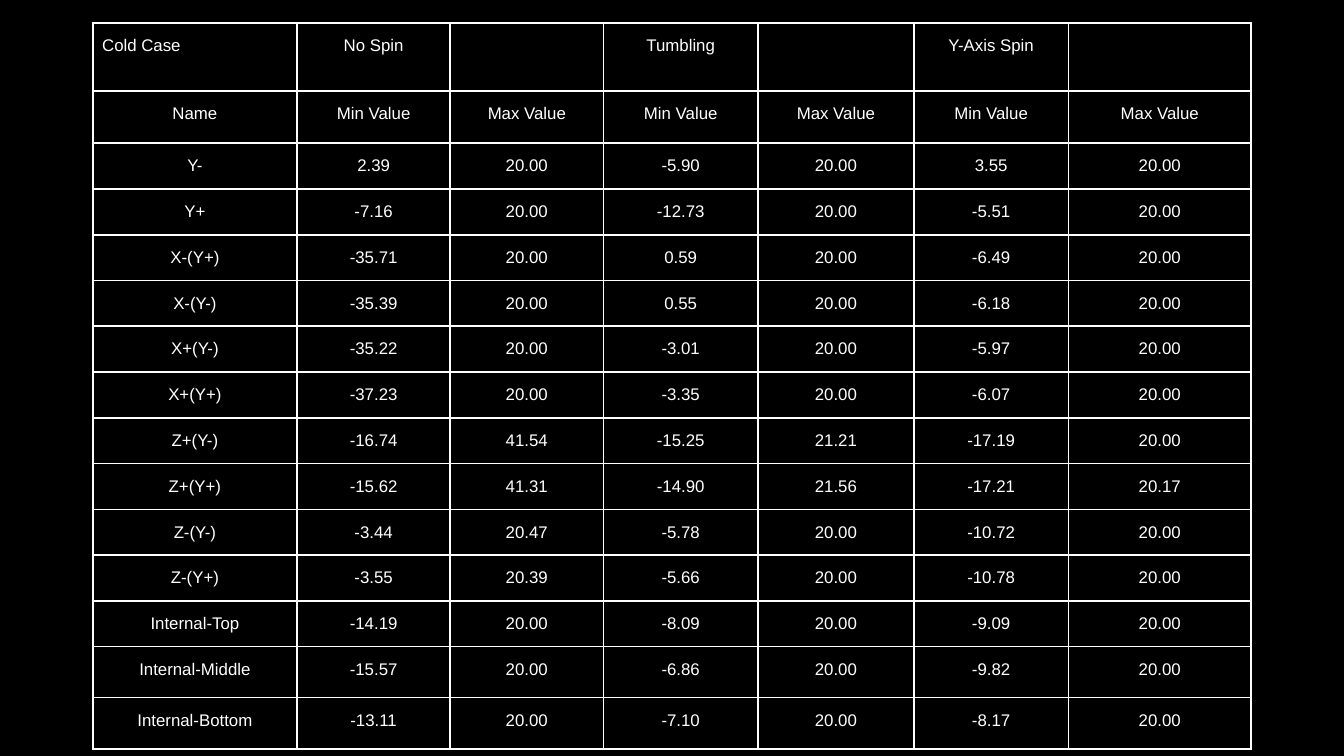
from dataclasses import dataclass

from lxml.etree import SubElement
from pptx import Presentation
from pptx.dml.color import RGBColor
from pptx.enum.text import PP_ALIGN
from pptx.oxml.ns import qn
from pptx.util import Inches, Pt


@dataclass(frozen=True)
class Theme:
    """Colours, font and type sizes of the slide."""
    background: str = "000000"
    ink: str = "FFFFFF"
    font: str = "Arial"
    size: float = 9
    border: float = 1


THEME = Theme()

COLUMN_WIDTHS = [1.52, 1.14, 1.14, 1.15, 1.16, 1.15, 1.36]
ROW_HEIGHTS = [0.48, 0.39] + [0.34] * 11 + [0.38] * 2
MARGIN_X, MARGIN_Y = 0.07, 0.1

TEMPERATURES = [
    ["Cold Case", "No Spin", "", "Tumbling", "", "Y-Axis Spin", ""],
    ["Name"] + ["Min Value", "Max Value"] * 3,
    ["Y-", "2.39", "20.00", "-5.90", "20.00", "3.55", "20.00"],
    ["Y+", "-7.16", "20.00", "-12.73", "20.00", "-5.51", "20.00"],
    ["X-(Y+)", "-35.71", "20.00", "0.59", "20.00", "-6.49", "20.00"],
    ["X-(Y-)", "-35.39", "20.00", "0.55", "20.00", "-6.18", "20.00"],
    ["X+(Y-)", "-35.22", "20.00", "-3.01", "20.00", "-5.97", "20.00"],
    ["X+(Y+)", "-37.23", "20.00", "-3.35", "20.00", "-6.07", "20.00"],
    ["Z+(Y-)", "-16.74", "41.54", "-15.25", "21.21", "-17.19", "20.00"],
    ["Z+(Y+)", "-15.62", "41.31", "-14.90", "21.56", "-17.21", "20.17"],
    ["Z-(Y-)", "-3.44", "20.47", "-5.78", "20.00", "-10.72", "20.00"],
    ["Z-(Y+)", "-3.55", "20.39", "-5.66", "20.00", "-10.78", "20.00"],
    ["Internal-Top", "-14.19", "20.00", "-8.09", "20.00", "-9.09", "20.00"],
    ["Internal-Middle", "-15.57", "20.00", "-6.86", "20.00", "-9.82", "20.00"],
    ["Internal-Bottom", "-13.11", "20.00", "-7.10", "20.00", "-8.17", "20.00"],
]


def paint_background(slide):
    """Fill the slide background with the theme colour."""
    fill = slide.background.fill
    fill.solid()
    fill.fore_color.rgb = RGBColor.from_string(THEME.background)


def outline_cell(cell):
    """Draw a solid line on all four sides of a cell."""
    properties = cell._tc.get_or_add_tcPr()
    for side in ("a:lnL", "a:lnR", "a:lnT", "a:lnB"):
        edge = SubElement(properties, qn(side), w=str(Pt(THEME.border)))
        solid = SubElement(edge, qn("a:solidFill"))
        SubElement(solid, qn("a:srgbClr"), val=THEME.ink)


def write_cell(cell, wording, alignment):
    """Set the wording of a cell and format it."""
    cell.margin_left = cell.margin_right = Inches(MARGIN_X)
    cell.margin_top = cell.margin_bottom = Inches(MARGIN_Y)
    paragraph = cell.text_frame.paragraphs[0]
    paragraph.text = wording
    paragraph.alignment = alignment
    for run in paragraph.runs:
        run.font.name = THEME.font
        run.font.size = Pt(THEME.size)
        run.font.color.rgb = RGBColor.from_string(THEME.ink)


def add_temperature_table(slide, left, top):
    """Add the table of minimum and maximum values per spin mode."""
    table = slide.shapes.add_table(
        len(ROW_HEIGHTS), len(COLUMN_WIDTHS), Inches(left), Inches(top),
        Inches(sum(COLUMN_WIDTHS)), Inches(sum(ROW_HEIGHTS))).table
    table.first_row = table.horz_banding = False
    for column, width in zip(table.columns, COLUMN_WIDTHS):
        column.width = Inches(width)
    for row, height, readings in zip(table.rows, ROW_HEIGHTS, TEMPERATURES):
        row.height = Inches(height)
        for cell, wording in zip(row.cells, readings):
            is_title = wording == "Cold Case"
            write_cell(cell, wording, PP_ALIGN.LEFT if is_title else PP_ALIGN.CENTER)
            outline_cell(cell)
            cell.fill.background()


def main():
    """Build the slide and save it."""
    presentation = Presentation()
    presentation.slide_width = Inches(10)
    presentation.slide_height = Inches(10 * 9 / 16)
    slide = presentation.slides.add_slide(presentation.slide_layouts[6])
    paint_background(slide)
    add_temperature_table(slide, 0.69, 0.17)
    presentation.save("out.pptx")


if __name__ == "__main__":
    main()
